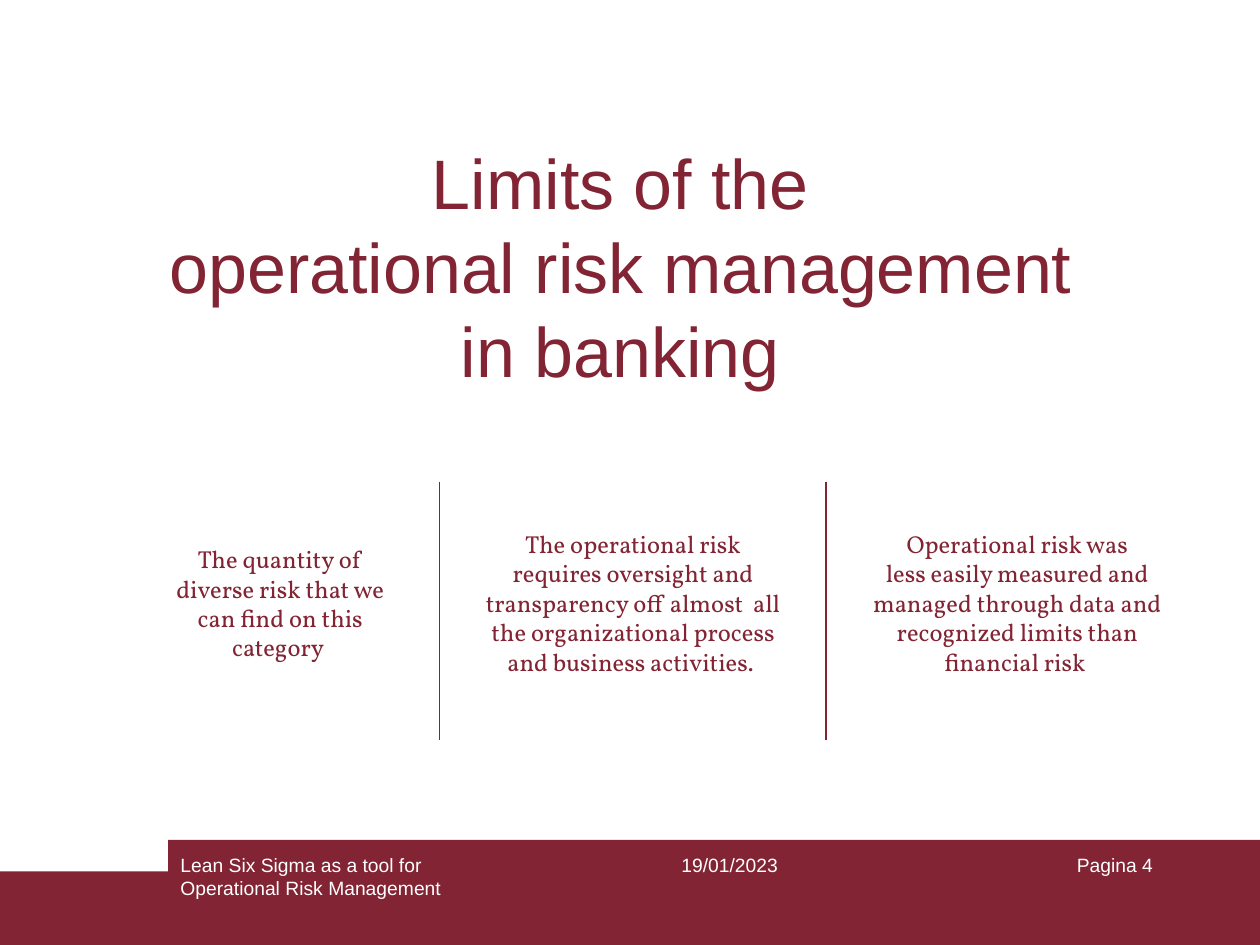
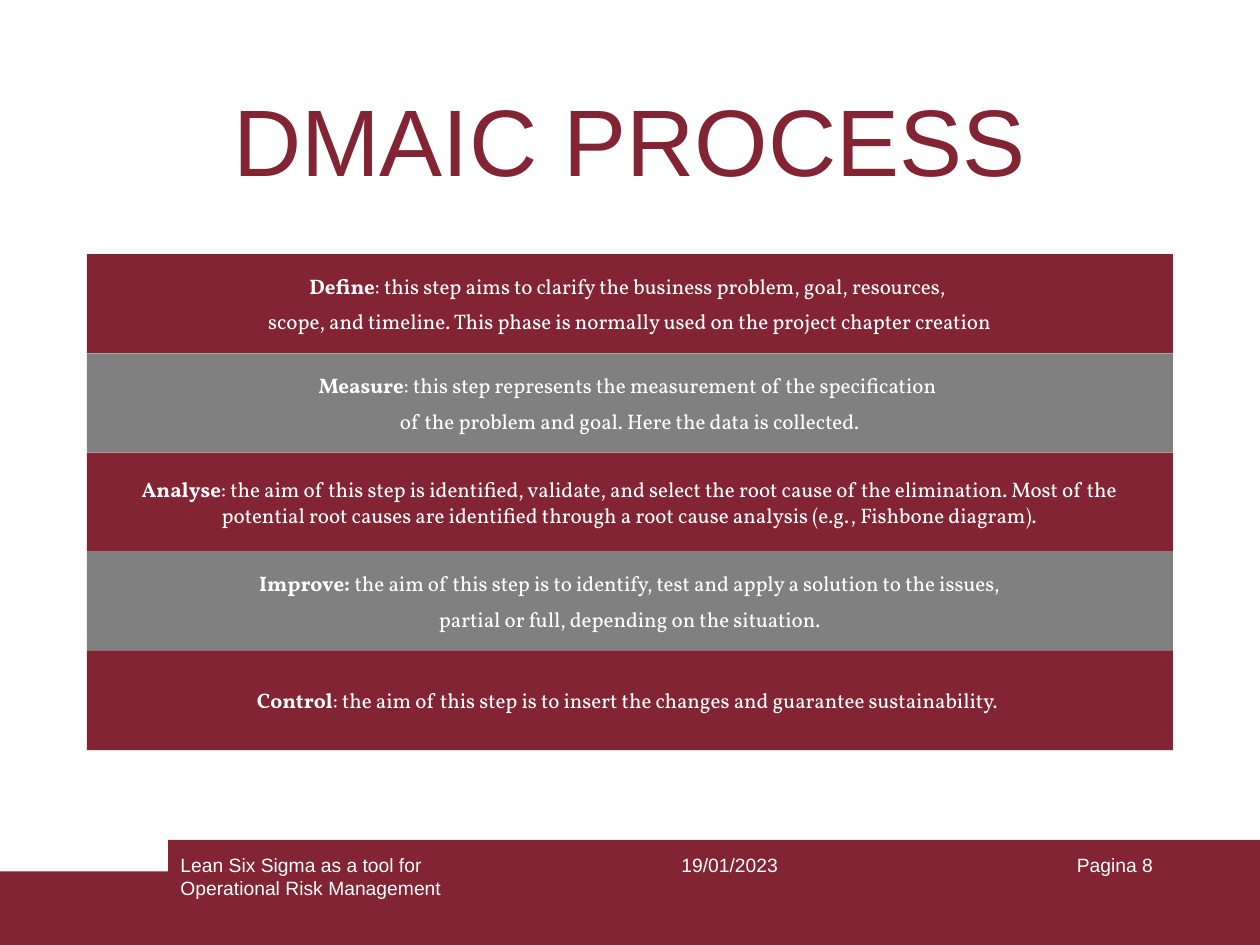
from lxml.etree import SubElement
from pptx import Presentation
from pptx.dml.color import RGBColor
from pptx.enum.shapes import MSO_CONNECTOR, MSO_SHAPE
from pptx.enum.text import MSO_ANCHOR, MSO_AUTO_SIZE, PP_ALIGN
from pptx.oxml.ns import qn
from pptx.util import Pt

WINE = RGBColor(0x82, 0x24, 0x33)
GREY = RGBColor(0x80, 0x80, 0x80)
WHITE = RGBColor(0xFF, 0xFF, 0xFF)
SANS, SERIF = "Arial", "Vollkorn"
LEFT, MID, RIGHT = PP_ALIGN.LEFT, PP_ALIGN.CENTER, PP_ALIGN.RIGHT

# Content: a paragraph is a list of (text, bold) runs or a plain string
TOPIC = ["Lean Six Sigma as a tool for", "Operational Risk Management"]
DATE = "19/01/2023"

LIMITS = ["Limits of the ", "operational risk management ", "in banking "]
# left, top, width, height, paragraphs
REASONS = [
    (84.2, 307.4, 152, 75,
     ["The quantity of diverse risk that we can find on this category "]),
    (267.1, 298.8, 189.4, 91.4,
     ["The operational risk requires oversight and transparency off almost  all "
      "the organizational process and business activities. "]),
    (486.7, 298.8, 189.4, 91.4,
     ["Operational risk was",
      "less easily measured and managed through data and recognized limits "
      "than financial risk "]),
]
RULES = [251.3, 472]

STEPS = [
    [[("Define", True),
      (": this step aims to clarify the business problem, goal, resources, ", False)],
     "scope, and timeline. This phase is normally used on the project chapter creation"],
    [[("Measure", True),
      (": this step represents the measurement of the specification ", False)],
     "of the problem and goal. Here the data is collected."],
    [[("Analyse", True),
      (": the aim of this step is identified, validate, and select the root cause of "
       "the elimination. Most of the potential root causes are identified through a "
       "root cause analysis (e.g., Fishbone diagram).", False)]],
    [[("Improve: ", True),
      ("the aim of this step is to identify, test and apply a solution to the issues,",
       False)],
     "partial or full, depending on the situation."],
    [[("Control", True),
      (": the aim of this step is to insert the changes and guarantee sustainability. ",
       False)]],
]


def write(shape, paras, size, font, color, align, anchor=MSO_ANCHOR.TOP, after=0):
    frame = shape.text_frame
    frame.word_wrap = True
    frame.auto_size = MSO_AUTO_SIZE.NONE
    frame.vertical_anchor = anchor
    for i, runs in enumerate(paras):
        para = frame.add_paragraph() if i else frame.paragraphs[0]
        para.alignment = align
        para.space_after = Pt(after)
        for text, bold in [(runs, False)] if isinstance(runs, str) else runs:
            run = para.add_run()
            run.text = text
            run.font.name, run.font.size = font, Pt(size)
            run.font.bold = bold
            run.font.color.rgb = color


def add_bar(slide, box, color):
    bar = slide.shapes.add_shape(MSO_SHAPE.RECTANGLE, *map(Pt, box))
    bar.shadow.inherit = False
    bar.fill.solid()
    bar.fill.fore_color.rgb = color
    bar.line.fill.background()
    return bar


def add_text(slide, box, *style):
    write(slide.shapes.add_textbox(*map(Pt, box)), *style)


def add_rule(slide, x, top, bottom):
    rule = slide.shapes.add_connector(
        MSO_CONNECTOR.STRAIGHT, Pt(x), Pt(top), Pt(x), Pt(bottom))
    rule.line.color.rgb = WINE
    rule.line.width = Pt(0.75)
    SubElement(rule._element.spPr, qn("a:effectLst"))


def add_slide(deck, page, title, box, size):
    slide = deck.slides.add_slide(deck.slide_layouts[5])
    # Stepped footer band
    add_bar(slide, (0, 498, 720, 42), WINE)
    add_bar(slide, (96, 480, 624, 60), WINE)
    for x, wide, paras, align in [(96, 228, TOPIC, LEFT),
                                  (342, 150, [DATE], MID),
                                  (516, 150, [f"Pagina {page}"], RIGHT)]:
        add_text(slide, (x, 484, wide, 36), paras, 11, SANS, WHITE, align)
    # Title
    head = slide.shapes.title
    head.left, head.top, head.width, head.height = map(Pt, box)
    write(head, title, size, SANS, WINE, MID)
    return slide


def main():
    deck = Presentation()
    deck.slide_width, deck.slide_height = Pt(720), Pt(540)

    # Limits: three columns split by rules
    slide = add_slide(deck, 4, LIMITS, (7.2, 76.3, 705.6, 151.2), 40)
    for *box, paras in REASONS:
        add_text(slide, box, paras, 14, SERIF, WINE, MID)
    for x in RULES:
        add_rule(slide, x, 275.2, 423)

    # DMAIC: stacked bars in alternating colours
    slide = add_slide(deck, 8, ["DMAIC PROCESS"], (85, 43.2, 549.4, 72), 54)
    top, high = 145.2, 56.7
    for i, paras in enumerate(STEPS):
        bar = add_bar(slide, (49.7, top + i * high, 620.6, high), (WINE, GREY)[i % 2])
        write(bar, paras, 12, SERIF, WHITE, MID, MSO_ANCHOR.MIDDLE, 6)

    deck.save("out.pptx")


if __name__ == "__main__":
    main()
